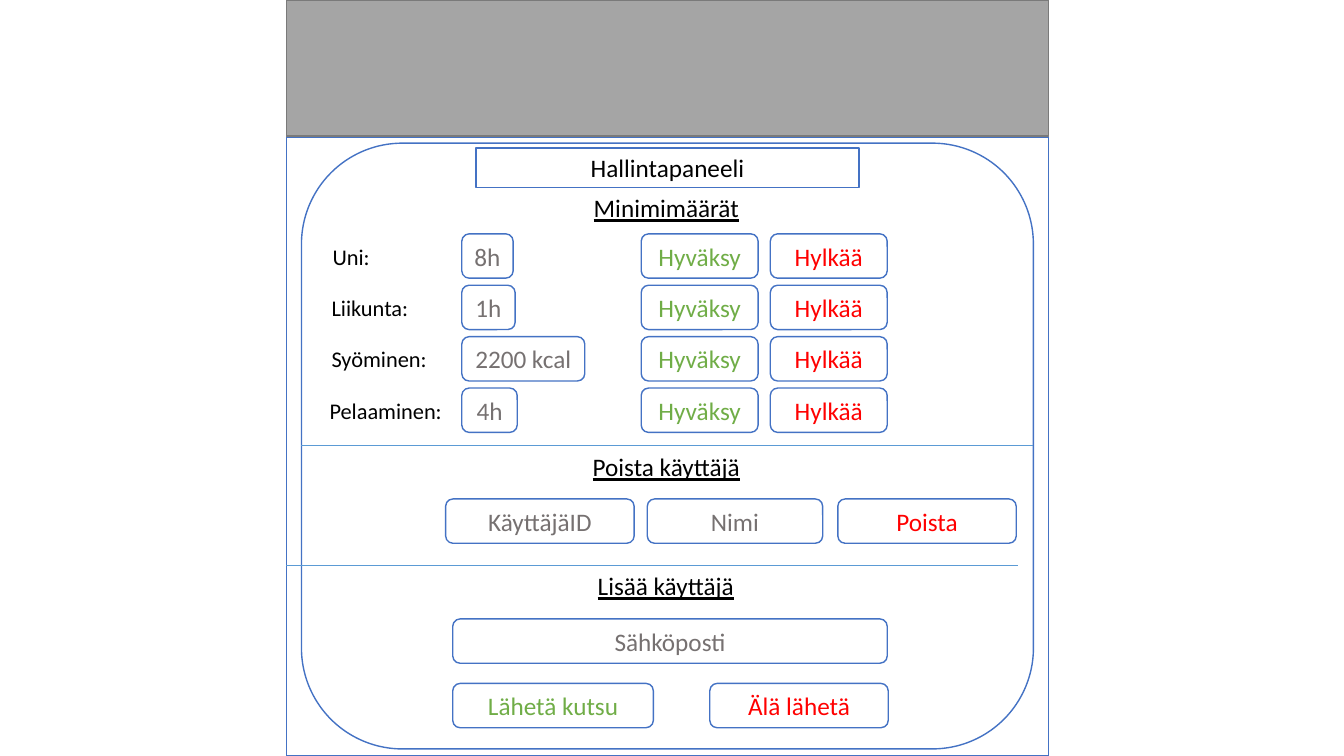
from lxml import etree
from pptx import Presentation
from pptx import util as u
from pptx.dml.color import RGBColor
from pptx.enum import shapes, text
from pptx.oxml import ns

BLACK, WHITE, GREY = "000000", "FFFFFF", "767171"
GREEN, RED, BLUE = "70AD47", "FF0000", "4472C4"


def color(value):
    return RGBColor.from_string(value)


class Panel:
    """Holds the style and the slide being drawn."""
    font = "Calibri"
    size = 18
    box_height = 0.44

    def __init__(self, slide):
        self.slide = slide

    def set_text(self, shape, words, ink, size, align, underline=None):
        frame = shape.text_frame
        frame.text = words
        paragraph = frame.paragraphs[0]
        paragraph.alignment = align
        paragraph.line_spacing = 1
        font = paragraph.font
        font.name, font.size, font.underline = self.font, u.Pt(size), underline
        font.color.rgb = color(ink)
        return frame

    def paint(self, shape, fill, line):
        shape.fill.solid()
        shape.fill.fore_color.rgb = color(fill)
        shape.line.color.rgb = color(line)
        shape.line.width = u.Pt(1)

    def fill_box(self, shape, words, ink):
        frame = self.set_text(shape, words, ink, self.size, text.PP_ALIGN.CENTER)
        frame.vertical_anchor = text.MSO_ANCHOR.MIDDLE
        frame.auto_size = text.MSO_AUTO_SIZE.NONE
        frame.word_wrap = True

    def area(self, left, top, width, height, fill=WHITE, line=BLUE, rounded=False):
        kind = shapes.MSO_SHAPE.ROUNDED_RECTANGLE if rounded else shapes.MSO_SHAPE.RECTANGLE
        shape = self.slide.shapes.add_shape(kind, *map(u.Inches, (left, top, width, height)))
        shape.shadow.inherit = False
        self.paint(shape, fill, line)
        return shape

    def box(self, left, top, width, words, ink):
        shape = self.area(left, top, width, self.box_height, rounded=True)
        self.fill_box(shape, words, ink)

    def title(self, left, top, width, height, words):
        shape = self.slide.shapes.title
        shape.left, shape.top, shape.width, shape.height = map(
            u.Inches, (left, top, width, height))
        # Rounded outline, and in front of the panel
        geometry = etree.SubElement(shape.element.spPr, ns.qn("a:prstGeom"), prst="roundRect")
        etree.SubElement(geometry, ns.qn("a:avLst"))
        self.paint(shape, WHITE, BLUE)
        self.fill_box(shape, words, BLACK)
        self.slide.shapes.element.append(shape.element)

    def label(self, left, top, width, height, words, size, wrap=True, underline=None):
        shape = self.slide.shapes.add_textbox(*map(u.Inches, (left, top, width, height)))
        frame = self.set_text(shape, words, BLACK, size, text.PP_ALIGN.LEFT, underline)
        frame.word_wrap = wrap
        frame.auto_size = text.MSO_AUTO_SIZE.SHAPE_TO_FIT_TEXT

    def heading(self, left, top, width, words):
        self.label(left, top, width, 0.4, words, self.size, wrap=False, underline=True)

    def divider(self, left, top, width):
        line = self.slide.shapes.add_connector(
            shapes.MSO_CONNECTOR.STRAIGHT, *map(u.Inches, (left, top, left + width, top)))
        line.line.color.rgb = color("5B9BD5")
        line.line.width = u.Pt(0.5)
        etree.SubElement(line.element.spPr, ns.qn("a:effectLst"))


def main():
    presentation = Presentation()
    presentation.slide_width = u.Inches(13.33)
    presentation.slide_height = u.Inches(7.5)
    panel = Panel(presentation.slides.add_slide(presentation.slide_layouts[5]))

    # Page, banner and panel
    panel.area(2.84, 1.36, 7.56, 6.14)
    panel.area(2.84, 0, 7.56, 1.35, "A5A5A5", "7A7A7A")
    panel.area(2.99, 1.42, 7.26, 6.01, rounded=True)
    panel.title(4.72, 1.47, 3.8, 0.39, "Hallintapaneeli")

    # Minimum amounts
    panel.heading(5.79, 1.86, 1.65, "Minimimäärät")
    minimums = [
        ("Uni:", 3.2, 0.57, "8h", 0.51),
        ("Liikunta:", 3.19, 0.97, "1h", 0.53),
        ("Syöminen:", 3.19, 1.16, "2200 kcal", 1.22),
        ("Pelaaminen:", 3.17, 1.33, "4h", 0.55),
    ]
    for row, (name, left, width, amount, amount_width) in enumerate(minimums):
        top = 2.32 + 0.51 * row
        panel.label(left, top + 0.04, width, 0.37, name, 16)
        panel.box(4.58, top, amount_width, amount, GREY)
        panel.box(6.36, top, 1.16, "Hyväksy", GREEN)
        panel.box(7.64, top, 1.16, "Hylkää", RED)

    # Remove a user
    panel.divider(2.99, 4.42, 7.26)
    panel.heading(5.78, 4.43, 1.68, "Poista käyttäjä")
    panel.box(4.42, 4.95, 1.87, "KäyttäjäID", GREY)
    panel.box(6.42, 4.95, 1.74, "Nimi", GREY)
    panel.box(8.31, 4.95, 1.77, "Poista", RED)

    # Add a user
    panel.divider(2.84, 5.61, 7.26)
    panel.heading(5.83, 5.61, 1.57, "Lisää käyttäjä")
    panel.box(4.49, 6.14, 4.31, "Sähköposti", GREY)
    panel.box(4.49, 6.78, 1.99, "Lähetä kutsu", GREEN)
    panel.box(7.04, 6.78, 1.77, "Älä lähetä", RED)

    presentation.save("out.pptx")


if __name__ == "__main__":
    main()
